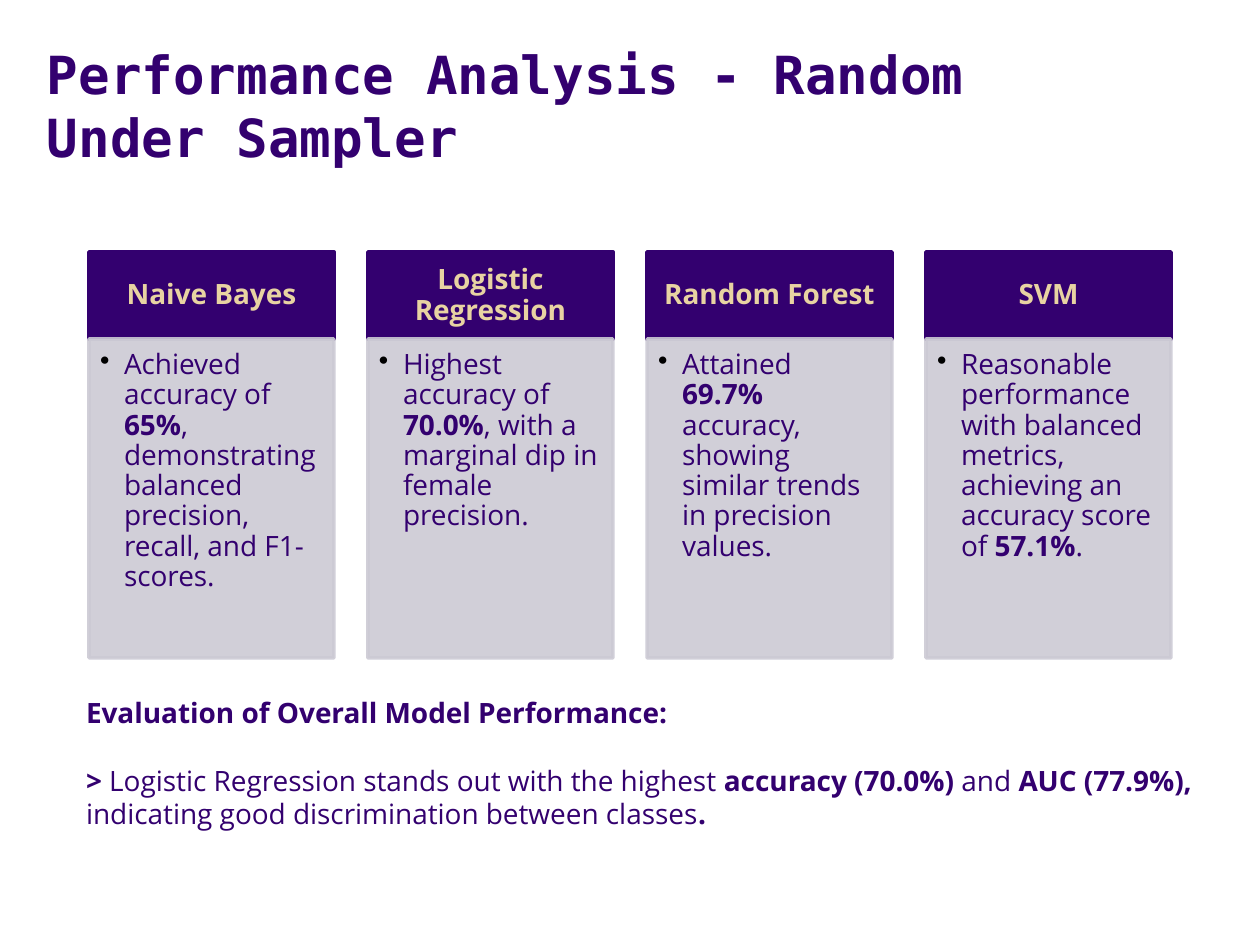
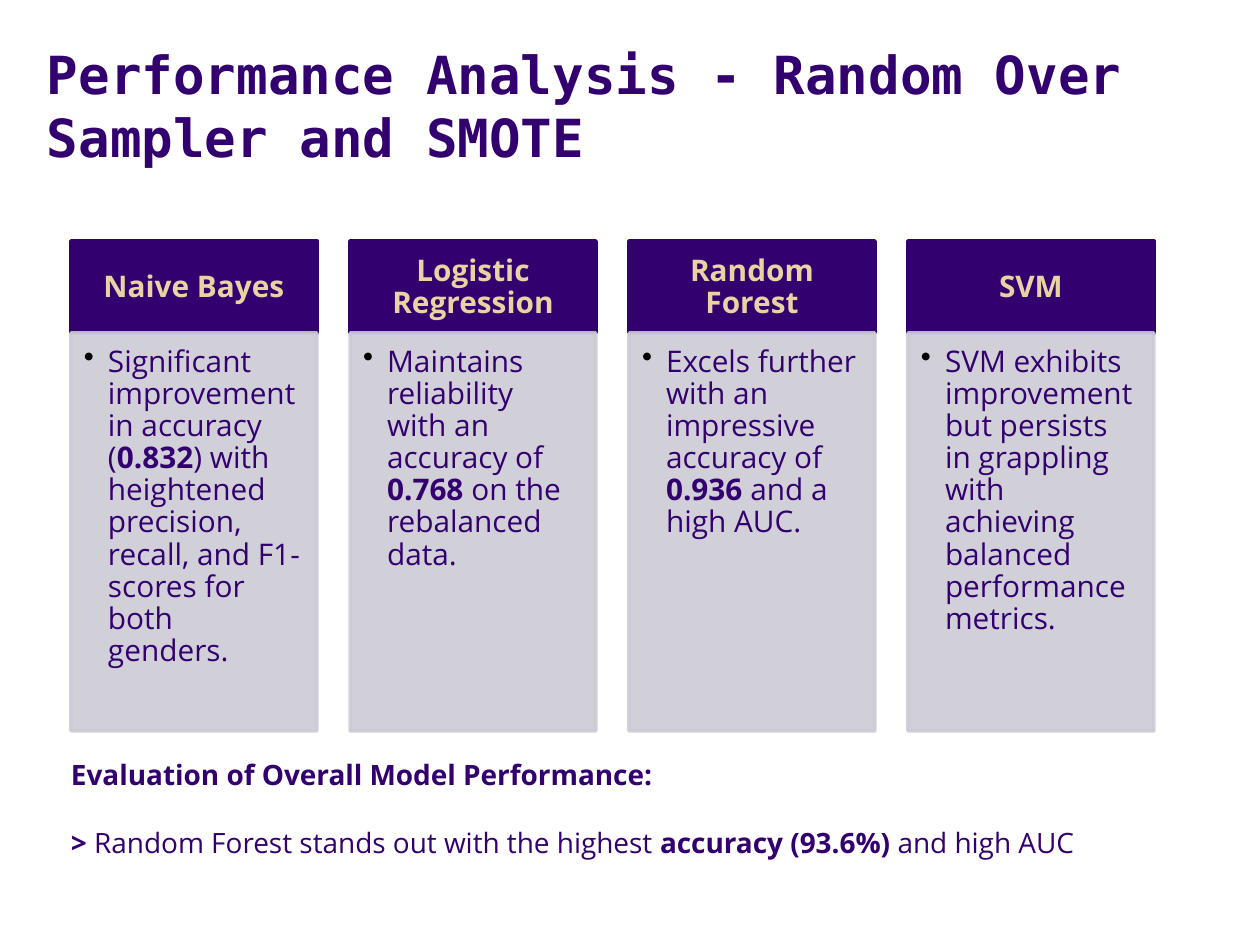
from lxml import etree
from pptx import Presentation, util as u
from pptx.dml.color import RGBColor
from pptx.enum import shapes, text
from pptx.oxml.ns import qn

PX = 914400 / 126
PURPLE, GOLD, LILAC, BLACK = "33006F", "E8D3A2", "CCCAD4", "000000"
TITLE_FONT, BODY_FONT = "DejaVu Sans Mono", "Open Sans"
LINE_HEIGHT = 1.2  # of the text size
TIGHT = 0.9 * LINE_HEIGHT
FRAME_INSETS = (13, 6, 13, 6)
INDENT = 24
NOTE_SIZE = 16


def write(paragraph, marked, size, colour, font=BODY_FONT, leading=LINE_HEIGHT):
    """Add the text run by run; parts between asterisks are bold."""
    paragraph.line_spacing = u.Pt(round(size * leading, 2))
    for i, part in enumerate(marked.split("*")):
        if part:
            run = paragraph.add_run()
            run.text = part
            run.font.name, run.font.size = font, u.Pt(size)
            run.font.bold = i % 2 == 1
            run.font.color.rgb = RGBColor.from_string(colour)


def set_frame(shape, insets, anchor):
    frame = shape.text_frame
    frame.word_wrap = True
    frame.vertical_anchor = anchor
    (frame.margin_left, frame.margin_top,
     frame.margin_right, frame.margin_bottom) = [round(n * PX) for n in insets]
    return frame


slides = [
    dict(
        title="Performance Analysis - Random Under Sampler",
        left=89, top=252, width=245, head=87, body=319, size=16,
        head_insets=(15, 9, 15, 9), body_insets=(11, 11, 15, 17),
        models=[
            ("Naive Bayes", "Achieved accuracy of *65%*, demonstrating balanced "
                            "precision, recall, and F1-scores."),
            ("Logistic Regression", "Highest accuracy of *70.0%*, with a marginal "
                                    "dip in female precision."),
            ("Random Forest", "Attained *69.7%* accuracy, showing similar trends "
                              "in precision values."),
            ("SVM", "Reasonable performance with balanced metrics, achieving an "
                    "accuracy score of *57.1%*."),
        ],
        note_box=(73, 690, 1164, 178),
        finding="*> *Logistic Regression stands out with the highest *accuracy (70.0%) *"
                "and* AUC (77.9%), *indicating good discrimination between classes*.*",
    ),
    dict(
        title="Performance Analysis - Random Over Sampler and SMOTE",
        left=71, top=241, width=246, head=92, body=398, size=17,
        head_insets=(16, 10, 16, 10), body_insets=(13, 13, 16, 19),
        models=[
            ("Naive Bayes", "Significant improvement in accuracy (*0.832*) with "
                            "heightened precision, recall, and F1-scores for both genders."),
            ("Logistic Regression", "Maintains reliability with an accuracy of *0.768* "
                                    "on the rebalanced data."),
            ("Random Forest", "Excels further with an impressive accuracy of *0.936* "
                              "and a high AUC."),
            ("SVM", "SVM exhibits improvement but persists in grappling with achieving "
                    "balanced performance metrics."),
        ],
        note_box=(58, 752, 1091, 183),
        finding="*> *Random Forest stands out with the highest *accuracy (93.6%) *"
                "and high AUC",
    ),
]
COLUMN_STEP = 279

deck = Presentation()
deck.slide_width, deck.slide_height = u.Inches(10), u.Inches(7.5)

for content in slides:
    slide = deck.slides.add_slide(deck.slide_layouts[5])

    title = slide.shapes.title
    title.left, title.top, title.width, title.height = [
        round(n * PX) for n in (34, 38, 1128, 136)]
    heading = set_frame(title, FRAME_INSETS, text.MSO_ANCHOR.BOTTOM).paragraphs[0]
    heading.alignment = text.PP_ALIGN.LEFT
    write(heading, f"*{content['title']}*", 30, PURPLE, TITLE_FONT)

    for column, (model, result) in enumerate(content["models"]):
        left = content["left"] + column * COLUMN_STEP
        middle = content["top"] + content["head"]
        bands = [
            (content["top"], content["head"], PURPLE, content["head_insets"],
             text.MSO_ANCHOR.MIDDLE, text.PP_ALIGN.CENTER, f"*{model}*", GOLD),
            (middle, content["body"], LILAC, content["body_insets"],
             text.MSO_ANCHOR.TOP, text.PP_ALIGN.LEFT, result, PURPLE),
        ]
        for top, height, fill, insets, anchor, align, words, ink in bands:
            band = slide.shapes.add_shape(
                shapes.MSO_SHAPE.RECTANGLE,
                *[round(n * PX) for n in (left, top, content["width"], height)])
            band.shadow.inherit = False
            band.fill.solid()
            band.fill.fore_color.rgb = RGBColor.from_string(fill)
            band.line.color.rgb = RGBColor.from_string(fill)
            band.line.width = u.Pt(2)
            paragraph = set_frame(band, insets, anchor).paragraphs[0]
            paragraph.alignment = align
            write(paragraph, words, content["size"], ink, leading=TIGHT)

        # The last band of each column is see-through and bulleted
        for colour in band._element.spPr.iter(qn("a:srgbClr")):
            etree.SubElement(colour, qn("a:alpha"), val="90000")
        bullet = paragraph._p.get_or_add_pPr()
        bullet.set("marL", str(round(INDENT * PX)))
        bullet.set("indent", str(-round(INDENT * PX)))
        bullet_colour = etree.SubElement(bullet, qn("a:buClr"))
        etree.SubElement(bullet_colour, qn("a:srgbClr"), val=BLACK)
        etree.SubElement(bullet, qn("a:buChar"), char="•")

    note = slide.shapes.add_textbox(*[round(n * PX) for n in content["note_box"]])
    evaluation = set_frame(note, FRAME_INSETS, text.MSO_ANCHOR.TOP)
    write(evaluation.paragraphs[0], "*Evaluation of Overall Model Performance:*",
          NOTE_SIZE, PURPLE)
    finding = evaluation.add_paragraph()
    finding.space_before = u.Pt(round(NOTE_SIZE * LINE_HEIGHT, 2))
    write(finding, content["finding"], NOTE_SIZE, PURPLE)

deck.save("out.pptx")
